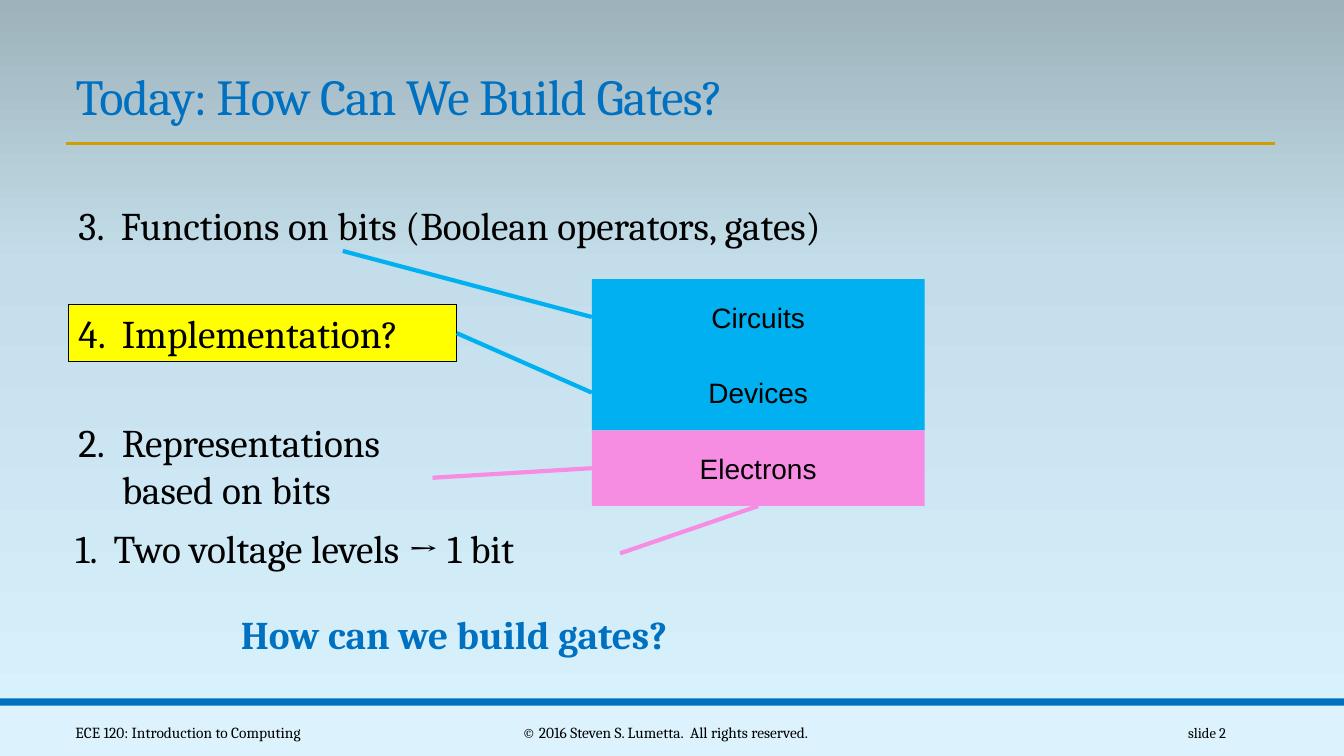
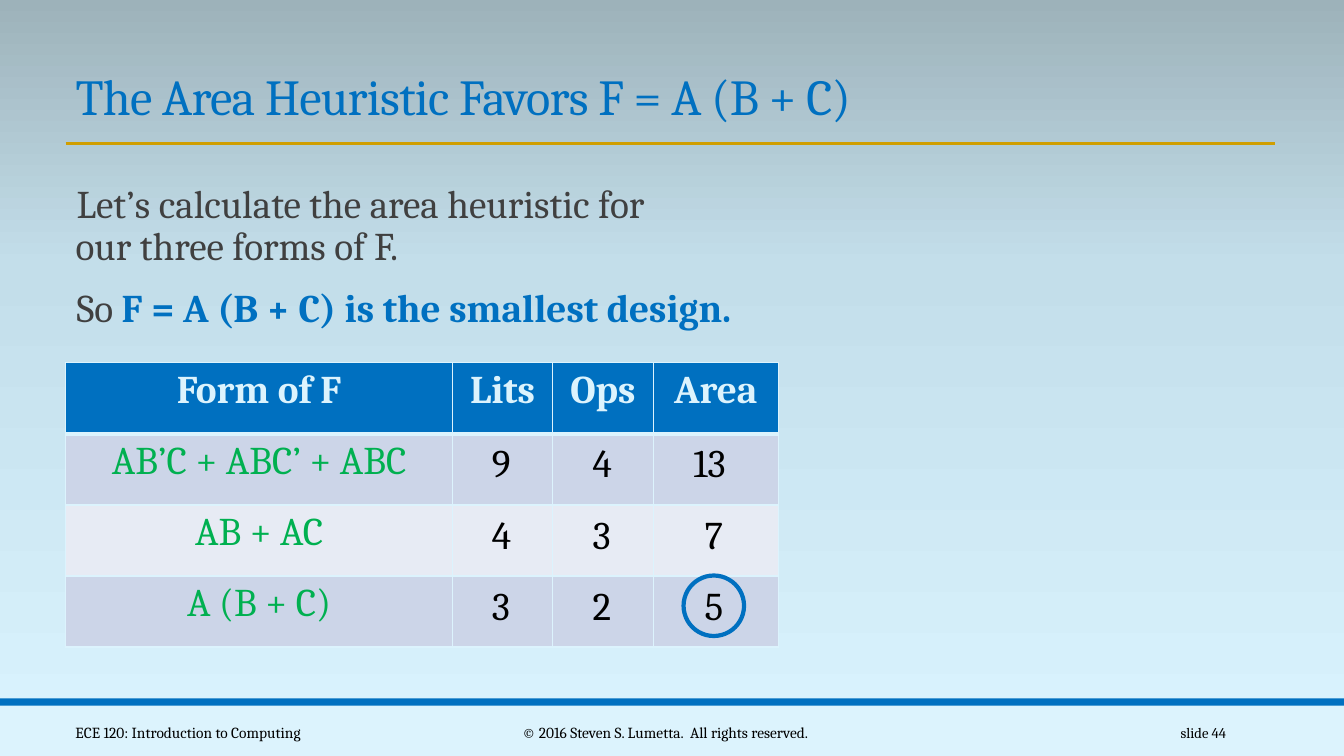
"""Build two lecture slides on gates and the area heuristic."""
import copy
import dataclasses
import typing

import lxml.etree
import pptx
import pptx.dml.color
import pptx.enum.shapes
import pptx.enum.text
import pptx.oxml.ns
import pptx.util

Inches = pptx.util.Inches
Pt = pptx.util.Pt
qn = pptx.oxml.ns.qn
Align = pptx.enum.text.PP_ALIGN
Anchor = pptx.enum.text.MSO_ANCHOR
Shape = pptx.enum.shapes.MSO_SHAPE

BLUE, SKY, PINK, PALE = "0070C0", "00B0F0", "F78DE3", "DCF3FD"
BLACK, GREY, GREEN, YELLOW, GOLD = "000000", "404040", "00B050", "FFFF00", "D09E00"
BACKGROUND = [(0, "DAF4FF"), (0.65, "C3DEEA"), (1, "9DB2BA")]

TEXT = {"name": "Cambria", "size": Pt(28), "bold": False}
STRONG = TEXT | {"bold": True}
TITLE = TEXT | {"size": Pt(36)}
FOOTER = TEXT | {"size": Pt(11)}
PAGE_NUMBER = TEXT | {"size": Pt(10.5)}
LABEL = TEXT | {"name": "Arial", "size": Pt(20)}
WRAPPED = {"word_wrap": True, "auto_size": pptx.enum.text.MSO_AUTO_SIZE.NONE}


class Area(typing.NamedTuple):
    """Left, top, width and height in inches."""

    left: float
    top: float
    width: float
    height: float


@dataclasses.dataclass(frozen=True)
class Span:
    """A stretch of text in one format."""

    text: str
    colour: str = BLACK
    style: dict = dataclasses.field(default_factory=lambda: TEXT)


@dataclasses.dataclass(frozen=True)
class Topic:
    """A numbered line beside the stack of layers."""

    number: int
    text: str
    area: Area
    indent: float = 0.43
    fill: str | None = None


@dataclasses.dataclass(frozen=True)
class Link:
    """A line from a layer's side to a topic."""

    layer: str
    site: int
    end: tuple[float, float]
    colour: str
    target: int | None = None


LAYERS = [("Circuits", SKY), ("Devices", SKY), ("Electrons", PINK)]
TOPICS = [
    Topic(2, "Representations\nbased on bits", Area(0.68, 4.1, 3.82, 1.04)),
    Topic(1, "Two voltage levels → 1 bit", Area(0.65, 5.15, 5.5, 0.57), 0.38),
    Topic(3, "Functions on bits (Boolean operators, gates)", Area(0.68, 1.95, 8.72, 0.57), 0.42),
    Topic(4, "Implementation?", Area(0.68, 3.02, 3.85, 0.57), fill=YELLOW),
]
LINKS = [
    Link("Electrons", 1, (4.29, 4.74), PINK),
    Link("Electrons", 2, (6.15, 5.49), PINK),
    Link("Circuits", 1, (3.4, 2.49), SKY),
    Link("Devices", 1, (4.53, 3.31), SKY, target=4),
]
HEADINGS = ["Form of F", "Lits", "Ops", "Area"]
FORMS = ["AB’C + ABC’ + ABC", "AB + AC", "A (B + C)"]
COUNTS = [("9", "4", "13"), ("4", "3", "7"), ("3", "2", "5")]
COUNT_CENTRES = [4.99, 5.99, 7.1]
DIGIT_WIDTH = 0.22
COLUMN_WIDTHS = [3.84, 0.99, 1, 1.24]
ROW_FILLS = [BLUE, "CCD5E8", "E7EBF4", "CCD5E8"]


def colour(code: str) -> pptx.dml.color.RGBColor:
    """Turn a hex string into a colour."""
    return pptx.dml.color.RGBColor.from_string(code)


def apply(target: typing.Any, values: dict) -> None:
    """Set each named attribute of the target."""
    for name, value in values.items():
        setattr(target, name, value)


def place(shape: typing.Any, area: Area) -> None:
    """Move and size a shape."""
    apply(shape, {name: Inches(value) for name, value in area._asdict().items()})


def write(para: typing.Any, spans: list[Span], **values: typing.Any) -> None:
    """Fill a paragraph with formatted spans."""
    apply(para, values)
    for span in spans:
        for index, line in enumerate(span.text.split("\n")):
            if index:
                para.add_line_break()
            run = para.add_run()
            run.text = line
            apply(run.font, span.style)
            run.font.color.rgb = colour(span.colour)


def add_text(page: typing.Any, area: Area, span: Span, align: Align = Align.LEFT,
             anchor: Anchor = Anchor.TOP) -> None:
    """Add a text box with one paragraph."""
    box = page.shapes.add_textbox(*map(Inches, area))
    apply(box.text_frame, WRAPPED | {"vertical_anchor": anchor})
    write(box.text_frame.paragraphs[0], [span], alignment=align)


def add_block(page: typing.Any, area: Area, fill: str | None, line: str | None = None,
              weight: float = 0.75, kind: Shape = Shape.RECTANGLE) -> typing.Any:
    """Add a flat shape with optional fill and outline."""
    block = page.shapes.add_shape(kind, *map(Inches, area))
    block.shadow.inherit = False
    if fill:
        block.fill.solid()
        block.fill.fore_color.rgb = colour(fill)
    else:
        block.fill.background()
    if line:
        block.line.color.rgb = colour(line)
        block.line.width = Pt(weight)
    else:
        block.line.fill.background()
    return block


def add_line(page: typing.Any, start: tuple[float, float], end: tuple[float, float],
             code: str, weight: float) -> typing.Any:
    """Add a straight line without shadow."""
    line = page.shapes.add_connector(pptx.enum.shapes.MSO_CONNECTOR.STRAIGHT,
                                     *map(Inches, (*start, *end)))
    line.line.color.rgb = colour(code)
    line.line.width = Pt(weight)
    lxml.etree.SubElement(line.element.spPr, qn("a:effectLst"))
    return line


def set_background(deck: typing.Any) -> None:
    """Give the slide master its upward gradient."""
    fill = deck.slide_master.background.fill
    fill.gradient()
    fill.gradient_angle = 90
    stops = deck.slide_master.element.find(".//" + qn("a:gsLst"))
    stops.insert(1, copy.deepcopy(stops[0]))
    for stop, (position, code) in zip(fill.gradient_stops, BACKGROUND):
        stop.position = position
        stop.color.rgb = colour(code)


def add_page(deck: typing.Any, layout: int, title: str, number: int) -> typing.Any:
    """Add a slide with title, rule, bands and footer."""
    page = deck.slides.add_slide(deck.slide_layouts[layout])
    add_block(page, Area(0, 7, 13.33, 0.5), PALE)
    add_block(page, Area(0, 6.93, 13.33, 0.07), BLUE)
    add_line(page, (0.65, 1.42), (12.65, 1.42), GOLD, 2)
    heading = page.shapes.title
    place(heading, Area(0.65, 0.59, 12.01, 0.71))
    apply(heading.text_frame, WRAPPED | {"vertical_anchor": Anchor.BOTTOM})
    para = heading.text_frame.paragraphs[0]
    write(para, [Span(title, BLUE, TITLE)], alignment=Align.LEFT, line_spacing=0.85)
    para.runs[0].font._element.set("spc", "-50")
    footers = [
        (0.65, 3.25, "ECE 120: Introduction to Computing", FOOTER, Align.LEFT),
        (4.03, 5.14, "© 2016 Steven S. Lumetta.  All rights reserved.", FOOTER, Align.CENTER),
        (10.83, 1.43, f"slide {number}", PAGE_NUMBER, Align.RIGHT),
    ]
    for left, width, text, style, align in footers:
        add_text(page, Area(left, 7.07, width, 0.4), Span(text, BLACK, style), align, Anchor.MIDDLE)
    return page


def set_indent(para: typing.Any, bullet: str, margin: float, hanging: float = 0,
               **values: str) -> None:
    """Set a paragraph's bullet and indents."""
    properties = para._p.get_or_add_pPr()
    properties.set("marL", str(Inches(margin)))
    properties.set("indent", str(-Inches(hanging)))
    lxml.etree.SubElement(properties, qn(bullet), values)


def add_topic(page: typing.Any, topic: Topic) -> typing.Any:
    """Add one numbered topic."""
    box = add_block(page, topic.area, topic.fill, BLACK if topic.fill else None)
    apply(box.text_frame, WRAPPED | {"vertical_anchor": Anchor.TOP})
    para = box.text_frame.paragraphs[0]
    set_indent(para, "a:buAutoNum", topic.indent, topic.indent,
               type="arabicPeriod", startAt=str(topic.number))
    write(para, [Span(topic.text)], alignment=Align.LEFT)
    return box


def build_gates(deck: typing.Any) -> None:
    """Build the slide that links topics to layers."""
    page = add_page(deck, 5, "Today: How Can We Build Gates?", 2)
    layers = {}
    for index, (name, fill) in enumerate(LAYERS):
        block = add_block(page, Area(5.87, 2.77 + 0.75 * index, 3.3, 0.75), fill)
        apply(block.text_frame, WRAPPED | {"vertical_anchor": Anchor.MIDDLE})
        write(block.text_frame.paragraphs[0], [Span(name, BLACK, LABEL)], alignment=Align.CENTER)
        layers[name] = block
    topics = {topic.number: add_topic(page, topic) for topic in TOPICS}
    for link in LINKS:
        line = add_line(page, (5.87, 3.89), link.end, link.colour, 3)
        line.begin_connect(layers[link.layer], link.site)
        if link.target:
            line.end_connect(topics[link.target], 3)
    add_text(page, Area(2.29, 6.01, 5.22, 0.57), Span("How can we build gates?", BLUE, STRONG))


def format_cell(cell: typing.Any, row: int, column: int) -> None:
    """Set a cell's text, borders and fill."""
    properties = cell._tc.get_or_add_tcPr()
    for side in "LRTB":
        heavy = (row, side) in [(0, "B"), (1, "T")]
        border = lxml.etree.SubElement(properties, qn(f"a:ln{side}"), w=str(Pt(3 if heavy else 1)))
        solid = lxml.etree.SubElement(border, qn("a:solidFill"))
        lxml.etree.SubElement(solid, qn("a:srgbClr"), val=PALE)
    cell.fill.solid()
    cell.fill.fore_color.rgb = colour(ROW_FILLS[row])
    para = cell.text_frame.paragraphs[0]
    if row == 0:
        write(para, [Span(HEADINGS[column], PALE, STRONG)], alignment=Align.CENTER)
    elif column == 0:
        write(para, [Span(FORMS[row - 1], GREEN)], alignment=Align.CENTER)


def add_counts(page: typing.Any) -> None:
    """Place the counts over the table's number columns."""
    for row, counts in enumerate(COUNTS):
        for centre, count in zip(COUNT_CENTRES, counts):
            width = 0.2 + DIGIT_WIDTH * len(count)
            area = Area(centre - width / 2, 4.3 + 0.71 * row, width, 0.57)
            add_text(page, area, Span(count))


def build_heuristic(deck: typing.Any) -> None:
    """Build the slide that compares the forms of F."""
    page = add_page(deck, 1, "The Area Heuristic Favors F = A (B + C)", 44)
    body = page.placeholders[1]
    place(body, Area(0.65, 1.78, 8.52, 4.64))
    frame = body.text_frame
    apply(frame, WRAPPED | {"margin_left": 0, "margin_right": 0,
                            "margin_top": Inches(0.05), "margin_bottom": Inches(0.05)})
    statements = [
        [Span("Let’s calculate the area heuristic for\nour three forms of F.", GREY)],
        [Span("So ", GREY), Span("F = A (B + C) is the smallest design.", BLUE, STRONG)],
    ]
    for index, spans in enumerate(statements):
        para = frame.add_paragraph() if index else frame.paragraphs[0]
        set_indent(para, "a:buNone", 0.1, -0.01)
        write(para, spans, line_spacing=0.9, space_before=Pt(12 if index else 0), space_after=Pt(2))
    area = Area(0.65, 3.6, sum(COLUMN_WIDTHS), 2.82)
    table = page.shapes.add_table(len(ROW_FILLS), len(COLUMN_WIDTHS), *map(Inches, area)).table
    table.horz_banding = False
    for column, width in enumerate(COLUMN_WIDTHS):
        table.columns[column].width = Inches(width)
        for row in range(len(ROW_FILLS)):
            format_cell(table.cell(row, column), row, column)
    add_counts(page)
    add_block(page, Area(6.78, 5.71, 0.6, 0.6), None, BLUE, 3, Shape.OVAL)


def main() -> None:
    """Build and save the deck."""
    deck = pptx.Presentation()
    deck.slide_width, deck.slide_height = Inches(13.33), Inches(7.5)
    set_background(deck)
    build_gates(deck)
    build_heuristic(deck)
    deck.save("out.pptx")


if __name__ == "__main__":
    main()
